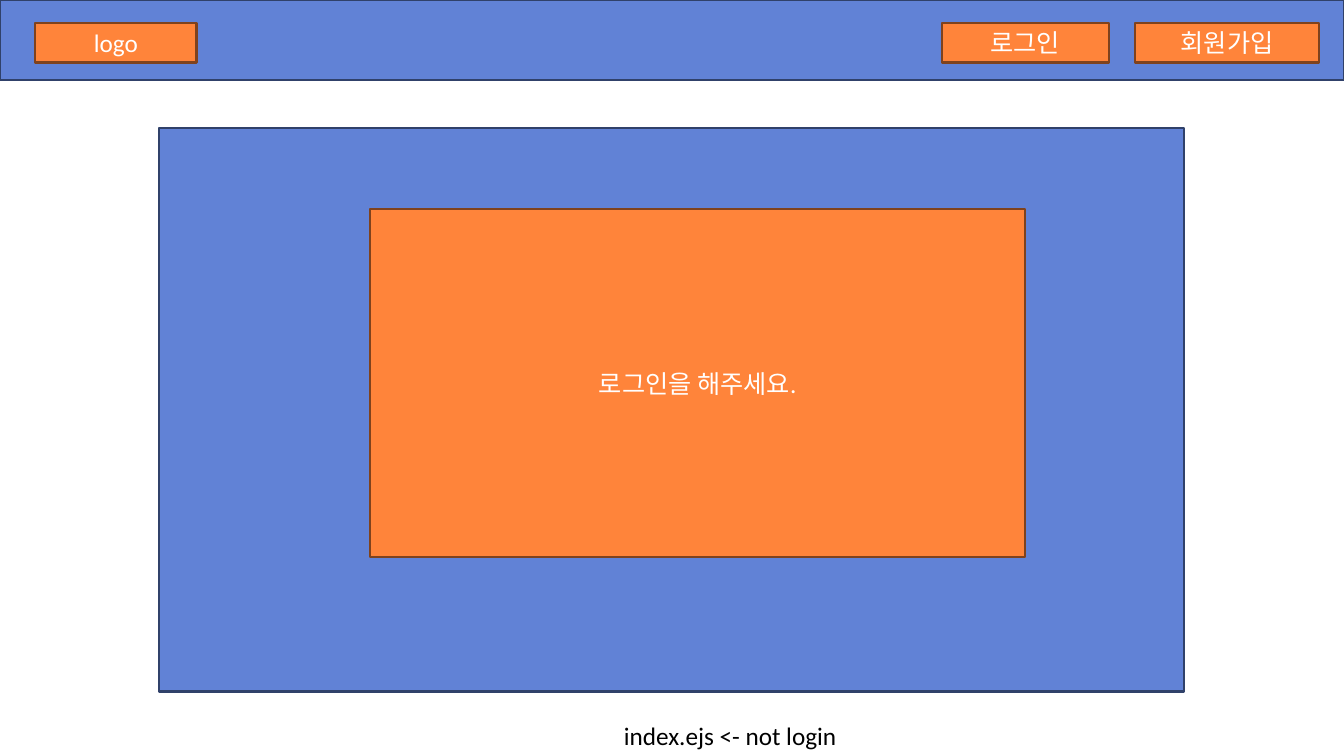
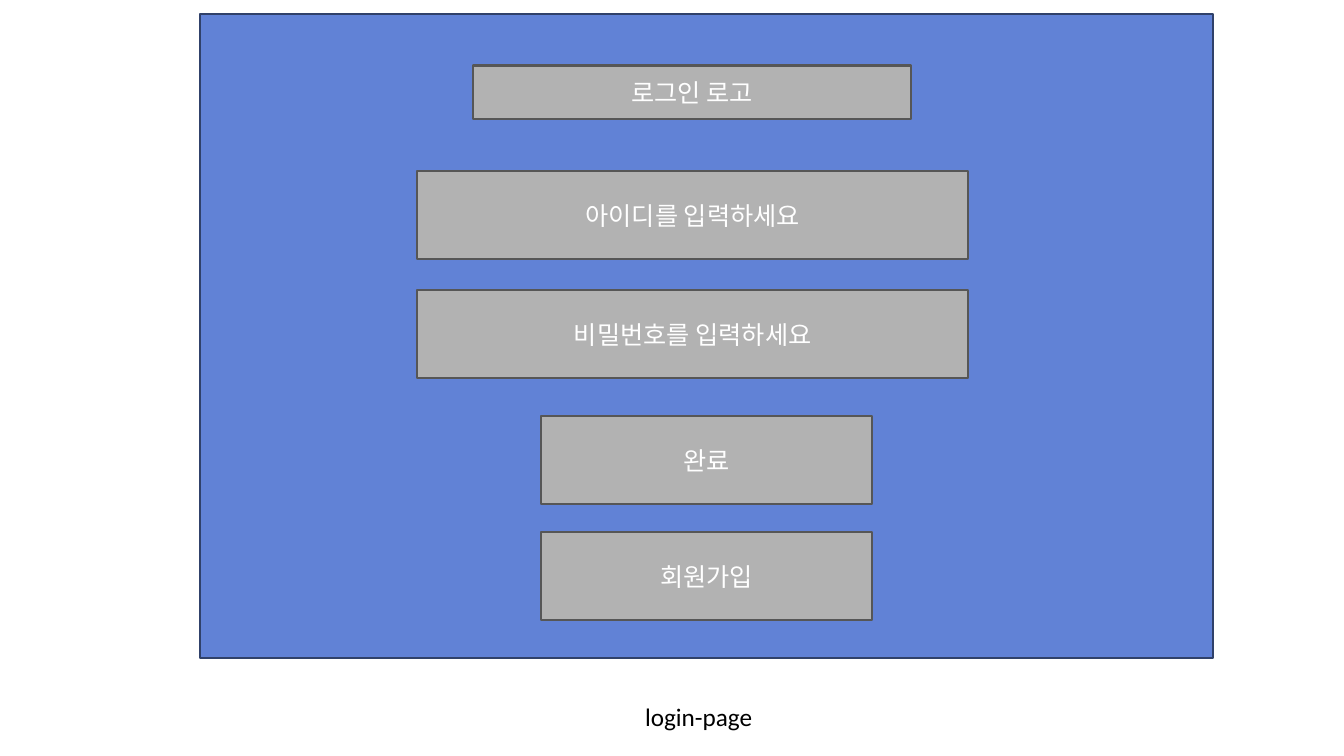
from pptx import Presentation
from pptx.dml.color import RGBColor
from pptx.enum import shapes, text
from pptx.util import Inches, Pt

FONT = "Calibri"
STYLES = {
    "panel": ("6182D6", "30416A"),
    "action": ("FF843A", "7F421D"),
    "field": ("B2B2B2", "565656"),
}
NAV_TOP, NAV_HEIGHT = 0.23, 0.39
FIELD_HEIGHT = 0.87
INPUT_LEFT, INPUT_WIDTH = 4.14, 5.46
BUTTON_LEFT, BUTTON_WIDTH = 5.37, 3.28

nav_items = [("logo", 0.35, 1.6), ("로그인", 9.34, 1.66), ("회원가입", 11.26, 1.82)]
inputs = [("아이디를 입력하세요", 1.7), ("비밀번호를 입력하세요", 2.88)]
buttons = [("완료", 4.13), ("회원가입", 5.28)]

pages = [
    {
        "caption": ("index.ejs <- not login", (6.09, 7.1, 3.73, 0.4)),
        "boxes": [
            ("panel", "", (0, 0, 13.33, 0.79)),
            ("panel", "", (1.58, 1.27, 10.16, 5.59)),
            ("action", "로그인을 해주세요.", (3.67, 2.07, 6.5, 3.46)),
        ] + [("action", label, (left, NAV_TOP, width, NAV_HEIGHT))
             for label, left, width in nav_items],
    },
    {
        "caption": ("login-page", (6.3, 6.91, 1.4, 0.4)),
        "boxes": [
            ("panel", "", (1.98, 0.14, 10.05, 6.39)),
            ("field", "로그인 로고", (4.69, 0.65, 4.35, 0.53)),
        ] + [("field", label, (INPUT_LEFT, top, INPUT_WIDTH, FIELD_HEIGHT))
             for label, top in inputs]
          + [("field", label, (BUTTON_LEFT, top, BUTTON_WIDTH, FIELD_HEIGHT))
             for label, top in buttons],
    },
]


def color(value):
    return RGBColor.from_string(value)


def write(frame, content, *, ink="FFFFFF", size=18,
          align=text.PP_ALIGN.CENTER, anchor=text.MSO_ANCHOR.MIDDLE):
    frame.word_wrap = True
    frame.vertical_anchor = anchor
    paragraph = frame.paragraphs[0]
    paragraph.alignment = align
    run = paragraph.add_run()
    run.text = content
    run.font.name = FONT
    run.font.size = Pt(size)
    run.font.color.rgb = color(ink)


def add_box(slide, style, label, place):
    fill, outline = STYLES[style]
    box = slide.shapes.add_shape(shapes.MSO_SHAPE.RECTANGLE, *map(Inches, place))
    box.shadow.inherit = False
    box.fill.solid()
    box.fill.fore_color.rgb = color(fill)
    box.line.color.rgb = color(outline)
    box.line.width = Pt(1.5)
    if label:
        write(box.text_frame, label)


def add_caption(slide, content, place):
    caption = slide.shapes.add_textbox(*map(Inches, place))
    write(caption.text_frame, content, ink="000000",
          align=text.PP_ALIGN.LEFT, anchor=text.MSO_ANCHOR.TOP)


def main():
    deck = Presentation()
    deck.slide_width, deck.slide_height = Inches(13.33), Inches(7.5)
    for page in pages:
        slide = deck.slides.add_slide(deck.slide_layouts[6])
        for box in page["boxes"]:
            add_box(slide, *box)
        add_caption(slide, *page["caption"])
    deck.save("out.pptx")


if __name__ == "__main__":
    main()
